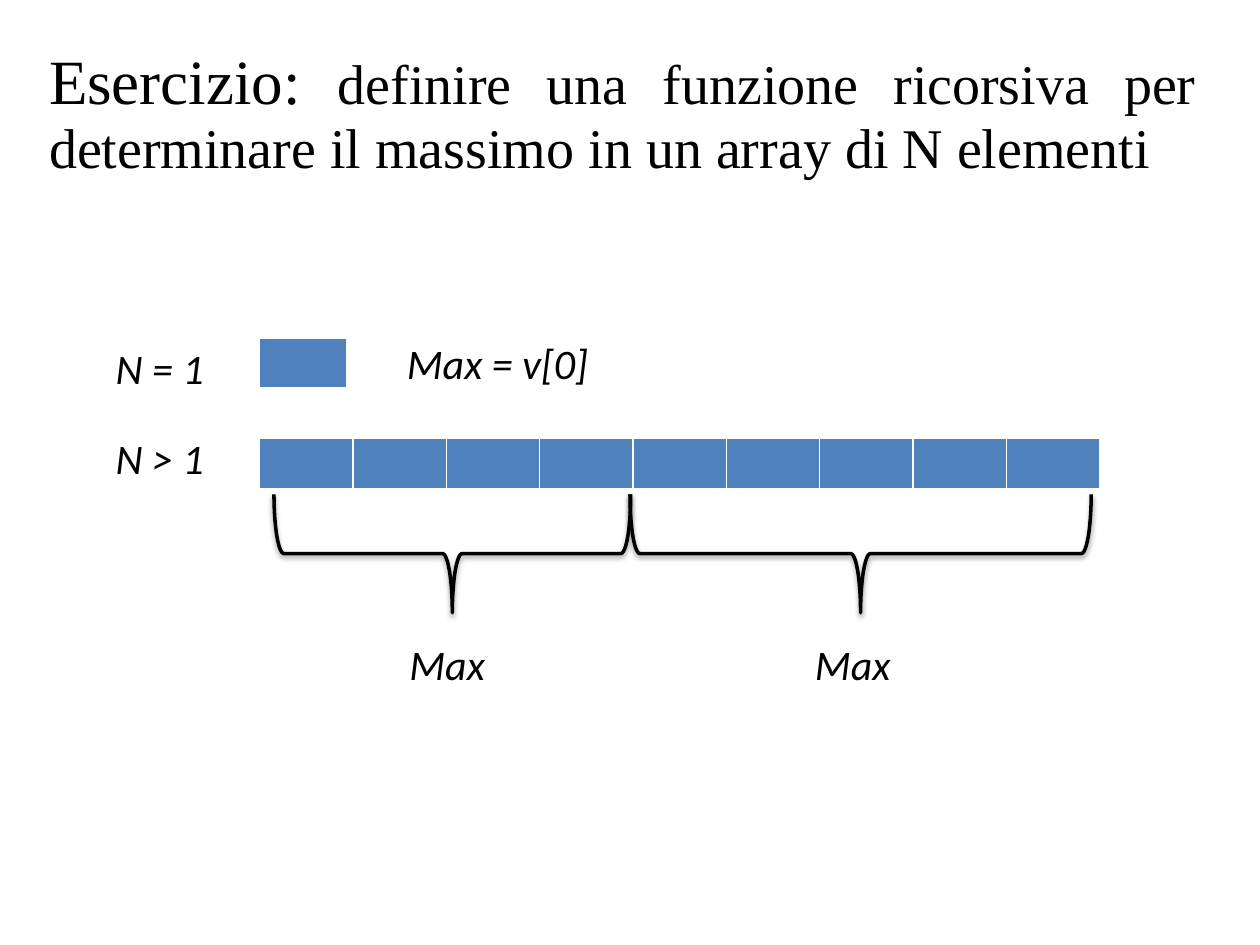
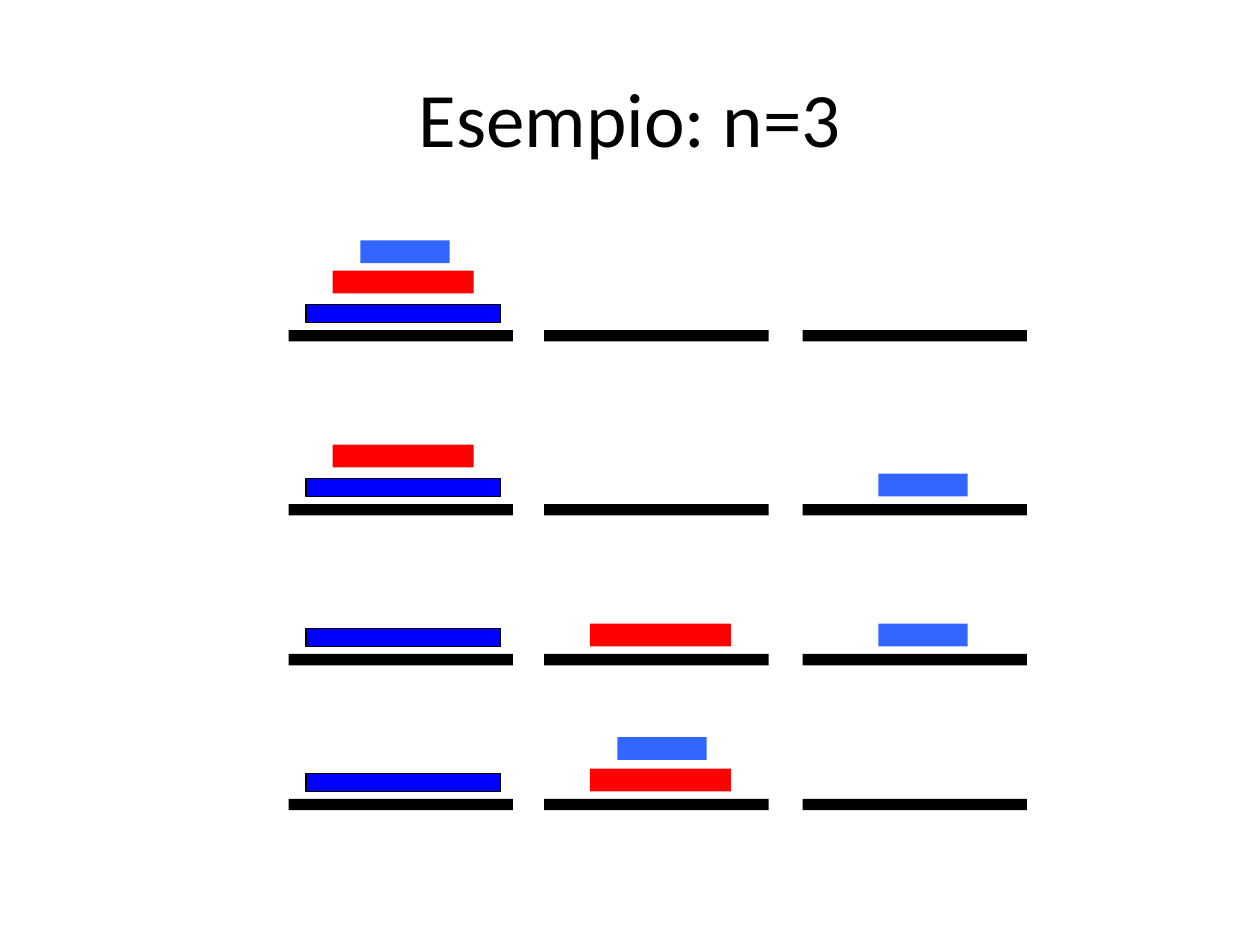
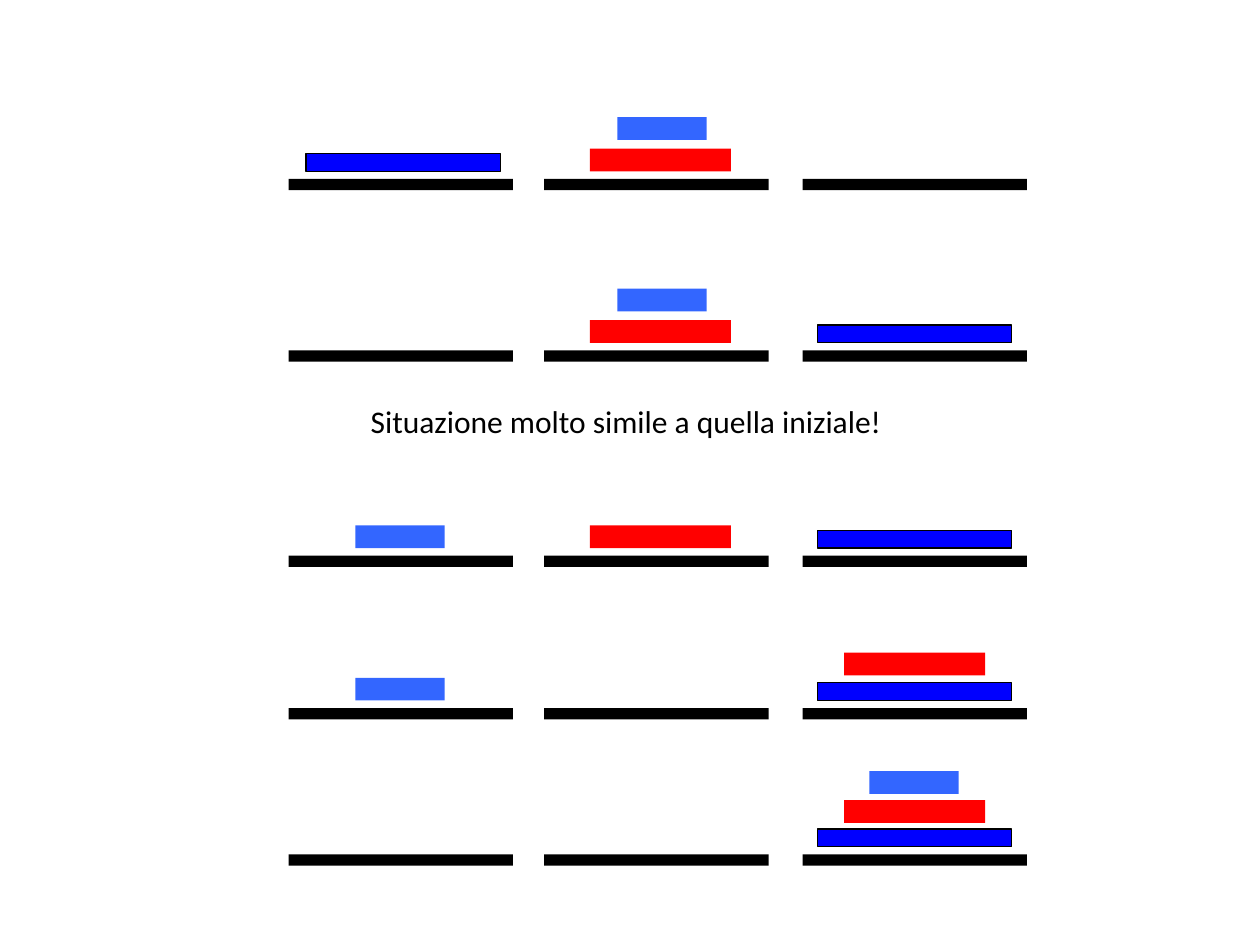
from pptx import Presentation
from pptx.dml.color import RGBColor as Rgb
from pptx.enum.shapes import MSO_SHAPE as Kind
from pptx.enum.text import MSO_ANCHOR as Anchor, MSO_AUTO_SIZE as Fit, PP_ALIGN as Align
from pptx.oxml import parse_xml as from_xml
from pptx.oxml.ns import nsdecls, qn
from pptx.util import Pt

HUES = {"ink": "000000", "cell": "4F81BD", "edge": "FFFFFF",
        "large": "0000FF", "mid": "FF0000", "small": "3366FF"}
DISKS = {"L": ("large", 111, 10.1), "M": ("mid", 80.6, 13), "S": ("small", 51, 13)}
BASES = (164.9, 311, 458.6)
PEGS = (230.4, 377.3, 522.7)
FIRST = [
    (188.6, ("LMS", "", ""), (6.5, 4.3), 1),
    (288, ("LM", "", "S"), (6.5,), 4.7),
    (373.7, ("L", "M", "S"), (), 4.7),
    (456.5, ("L", "MS", ""), (5,), 1),
]
LAST = [
    (102.2, ("L", "MS", ""), (5,), 1),
    (200.2, ("", "MS", "L"), (5,), 1),
    (317.5, ("S", "M", "L"), (), -1.8),
    (404.6, ("S", "", "LM"), (4.3,), -1.8),
    (488.2, ("", "", "LMS"), (3.6, 3.6), -0.4),
]


def hue(name):
    return Rgb.from_string(HUES[name])


def write(para, text, size=24, font="Calibri", slant=False):
    run = para.add_run()
    run.text = text
    run.font.size = Pt(size)
    run.font.name = font
    run.font.italic = slant
    run.font.color.rgb = hue("ink")


def place(shape, *box):
    shape.left, shape.top, shape.width, shape.height = map(Pt, box)


def head(slide, box, parts, align, inset=None, lead=None):
    title = slide.shapes.title
    place(title, *box)
    frame = title.text_frame
    frame.auto_size = Fit.NONE
    frame.vertical_anchor = Anchor.MIDDLE
    if inset is not None:
        frame.margin_left = frame.margin_right = Pt(inset)
        frame.margin_top = frame.margin_bottom = Pt(inset)
    para = frame.paragraphs[0]
    para.alignment = align
    para.line_spacing = lead
    for text, size, font in parts:
        write(para, text, size, font)


def label(slide, text, box, wrap=False, align=Align.LEFT, **style):
    frame = slide.shapes.add_textbox(*map(Pt, box)).text_frame
    frame.word_wrap = wrap
    frame.auto_size = Fit.SHAPE_TO_FIT_TEXT
    frame.paragraphs[0].alignment = align
    write(frame.paragraphs[0], text, **style)


def border(cell):
    props = cell._tc.get_or_add_tcPr()
    for side, width in (("L", 1), ("R", 1), ("T", 1), ("B", 3)):
        props.append(from_xml(
            f'<a:ln{side} {nsdecls("a")} w="{Pt(width)}"><a:solidFill>'
            f'<a:srgbClr val="{HUES["edge"]}"/></a:solidFill></a:ln{side}>'))


def array(slide, top, count, width):
    box = map(Pt, (148.3, top, count * width, 29.5))
    table = slide.shapes.add_table(1, count, *box).table
    for col in table.columns:
        col.width = Pt(width)
    for cell in table.rows[0].cells:
        border(cell)
        cell.fill.solid()
        cell.fill.fore_color.rgb = hue("cell")


def brace(slide, mid, span):
    wide = 67.7
    box = map(Pt, (mid - wide / 2, 316.3 - span / 2, wide, span))
    shape = slide.shapes.add_shape(Kind.LEFT_BRACE, *box)
    shape.rotation = 270
    shape.fill.background()
    shape.line.color.rgb = hue("ink")
    shape.line.width = Pt(2)
    shape.shadow.inherit = False
    shape.element.spPr.find(qn("a:effectLst")).append(from_xml(
        f'<a:outerShdw {nsdecls("a")} blurRad="{Pt(3.1)}" dist="{Pt(1.6)}" '
        f'dir="5400000" rotWithShape="0"><a:srgbClr val="{HUES["ink"]}">'
        '<a:alpha val="38000"/></a:srgbClr></a:outerShdw>'))


def bar(slide, box, fill, edged=False):
    shape = slide.shapes.add_shape(Kind.RECTANGLE, *map(Pt, box))
    shape.shadow.inherit = False
    shape.fill.solid()
    shape.fill.fore_color.rgb = hue(fill)
    if edged:
        shape.line.color.rgb = hue("ink")
        shape.line.width = Pt(0.75)
    else:
        shape.line.fill.background()


def stack(slide, mid, floor, disks, gaps, nudge):
    for disk, gap in zip(disks, (4.3, *gaps)):
        fill, width, height = DISKS[disk]
        floor -= gap + height
        left = mid - width / 2 + (nudge if disk == "S" else 0)
        bar(slide, (left, floor, width, height), fill, disk == "L")


def hanoi(slide, moves):
    for floor, pegs, gaps, nudge in moves:
        for mid, disks in zip(PEGS, pegs):
            stack(slide, mid, floor, disks, gaps, nudge)
        for left in BASES:
            bar(slide, (left, floor, 128.2, 6.5), "ink")


def main():
    deck = Presentation()
    deck.slide_width, deck.slide_height = Pt(720), Pt(540)
    titled, blank = deck.slide_layouts[5], deck.slide_layouts[6]

    slide = deck.slides.add_slide(titled)
    serif = "Times New Roman"
    head(slide, (28, -29.5, 656, 190),
         [("Esercizio: ", 36, serif),
          ("definire una funzione ricorsiva per determinare il massimo "
           "in un array di N elementi", 32, serif)],
         Align.JUSTIFY, inset=0, lead=0.93)
    array(slide, 250.6, 9, 53.35)
    array(slide, 193, 1, 49.7)
    brace(slide, 258.5, 203.8)
    brace(slide, 491.8, 263.5)
    for text, left, top, width in (
            ("N = 1", 59, 192.2, 65.5), ("N > 1", 59, 243.4, 65.5),
            ("Max = v[0]", 225.4, 189.4, 119.5),
            ("Max", 226.8, 361.4, 58.3), ("Max", 458.6, 361.4, 58.3)):
        label(slide, text, (left, top, width, 36), slant=True)

    slide = deck.slides.add_slide(titled)
    head(slide, (36, 21.6, 648, 90), [("Esempio: n=3", 44, "Calibri")], Align.CENTER)
    hanoi(slide, FIRST)

    slide = deck.slides.add_slide(blank)
    hanoi(slide, LAST)
    label(slide, "Situazione molto simile a quella iniziale!",
          (54, 226, 607.7, 29), wrap=True, align=Align.CENTER, size=18)

    deck.save("out.pptx")


if __name__ == "__main__":
    main()
